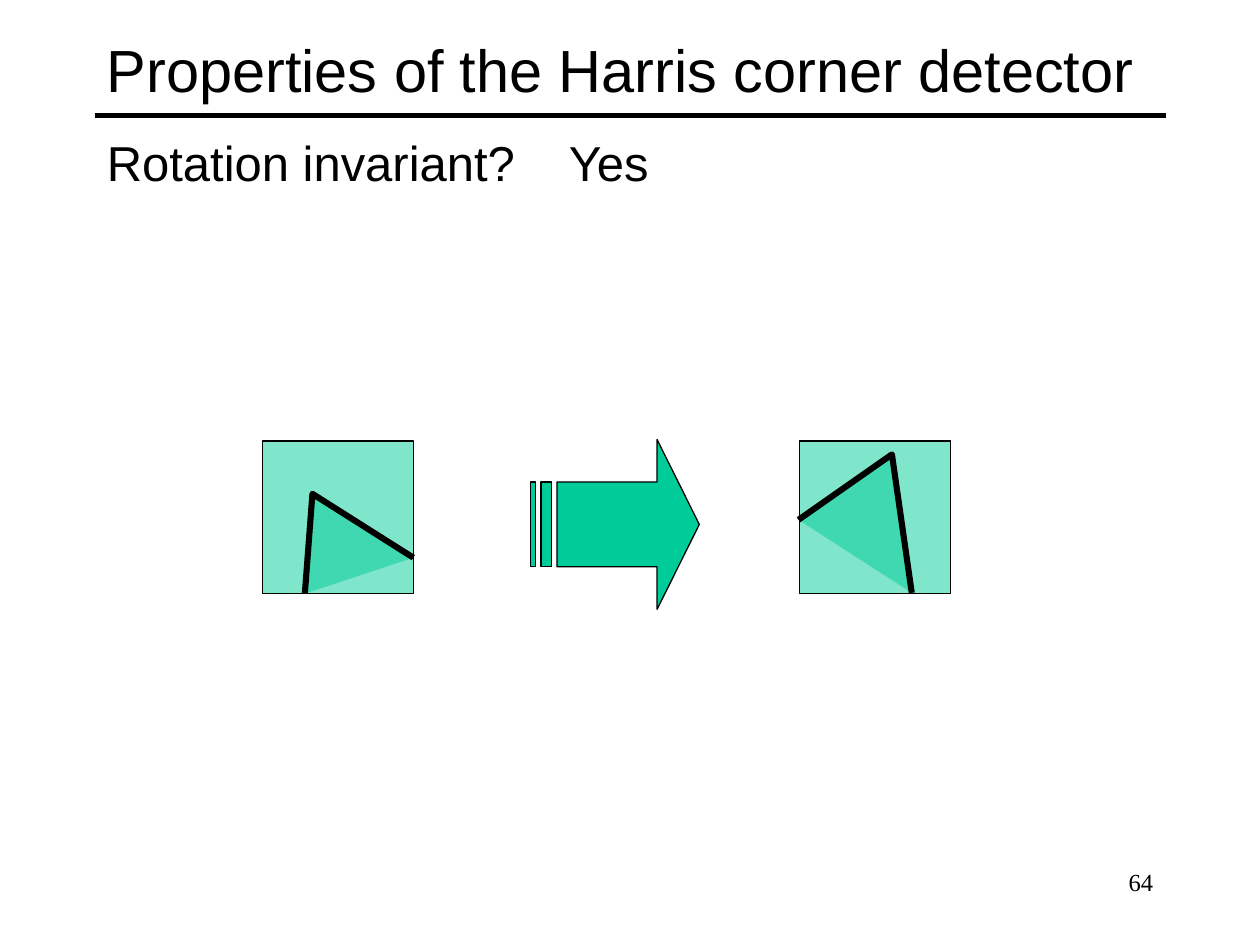
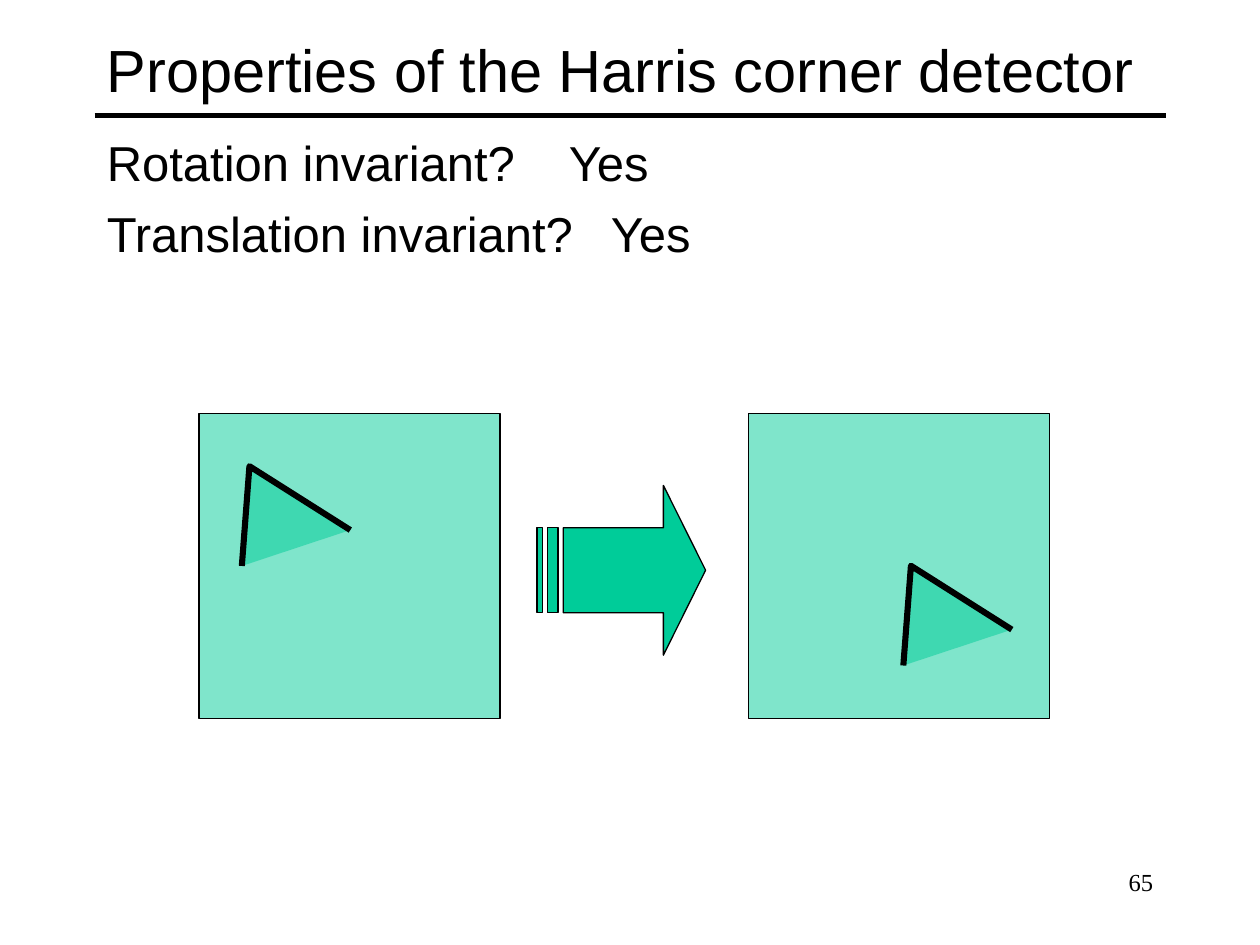
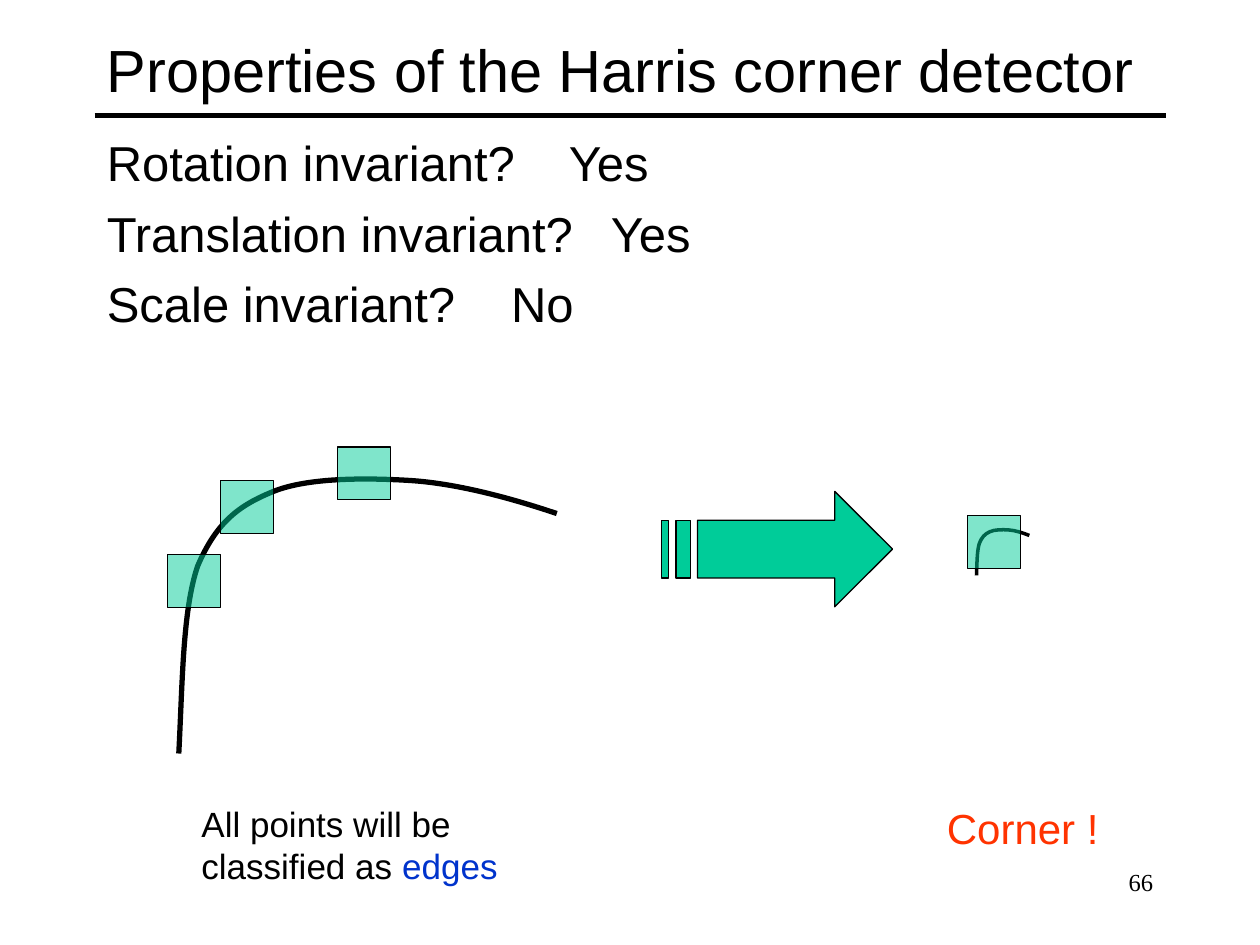
from lxml.etree import SubElement
from pptx import Presentation
from pptx.dml.color import RGBColor
from pptx.enum.shapes import MSO_CONNECTOR, MSO_SHAPE
from pptx.enum.text import MSO_ANCHOR, PP_ALIGN
from pptx.oxml.ns import qn
from pptx.util import Pt

BLACK, GREEN, BLUE, RED = "000000", "00CC99", "0033CC", "FF3300"
TITLE = "Properties of the Harris corner detector"
FIRST_NUMBER = 64

# Questions, each with its answer and the answer's left and top
QUESTIONS = [
    ("Rotation invariant?", "Yes", 318, 72),
    ("Translation invariant?", "Yes", 342, 113),
    ("Scale invariant?", "No", 285, 152.6),
]

# Drawing parts of each slide, back to front: (kind, left, top, width, height, extra)
DRAWINGS = [
    [
        ("window", 150, 252, 86.4, 87.1),
        ("corner", 174.2, 282.2, 62, 57),
        ("window", 457, 252, 86.4, 87.1),
        ("corner", 468, 272.2, 73.4, 65, 50.5),
        ("arrow", 303.2, 251.2, 96.4, 97),
    ],
    [
        ("window", 113.8, 236.2, 172, 174.2),
        ("corner", 138.2, 266.4, 62, 57),
        ("arrow", 306.8, 277.4, 96.4, 97),
        ("window", 427.7, 236.2, 172, 174.2),
        ("corner", 516.2, 323.3, 62, 57),
    ],
    [
        ("curve", 102.2, 273, 216, 157.6, 3),
        ("window", 95.8, 316.8, 30.2, 30.2),
        ("window", 126, 274.6, 30.2, 30.2),
        ("window", 193, 255.4, 30.2, 30.2),
        ("curve", 558, 302.6, 30.2, 26.2, 2),
        ("window", 553, 294.6, 30.2, 30.2),
        ("arrow", 378, 280.8, 132, 66),
    ],
]

# Captions of the last slide: box, runs, size
CAPTIONS = [
    ((108, 455, 204, 55), [("All points will be classified as ", BLACK), ("edges", BLUE)], 20),
    ((534, 455, 108, 36), [("Corner !", RED)], 24),
]

# Outlines as fractions of their box
CORNER = [(0, 1), (0.07, 0), (1, 0.64)]
CURVE = [
    (0, 1), (0.01, 0.74), (0.01, 0.48), (0.05, 0.32), (0.1, 0.16), (0.16, 0.1), (0.25, 0.05),
    (0.34, 0), (0.49, 0), (0.61, 0.01), (0.73, 0.02), (0.87, 0.07), (1, 0.13),
]
ARROW_HEAD = [(3 / 4, 0), (3 / 4, 1 / 4), (5 / 32, 1 / 4), (5 / 32, 3 / 4),
              (3 / 4, 3 / 4), (3 / 4, 1), (1, 1 / 2)]
ARROW_STRIPES = [
    [(left, 1 / 4), (left, 3 / 4), (right, 3 / 4), (right, 1 / 4)]
    for left, right in [(1 / 16, 1 / 8), (0, 1 / 32)]
]


def color(value):
    return RGBColor.from_string(value)


def set_values(target, values):
    for name, value in values.items():
        setattr(target, name, value)


def add_text(slide, box, paragraphs, size, font="Arial", anchor=MSO_ANCHOR.TOP, **paragraph_values):
    """Each paragraph is a list of (text, colour) runs."""
    frame = slide.shapes.add_textbox(*map(Pt, box)).text_frame
    set_values(frame, {"word_wrap": True, "vertical_anchor": anchor})
    for index, runs in enumerate(paragraphs):
        paragraph = frame.add_paragraph() if index else frame.paragraphs[0]
        set_values(paragraph, paragraph_values)
        if index:
            paragraph.space_before = Pt(6.9)
        for text, text_color in runs:
            run = paragraph.add_run()
            run.text = text
            set_values(run.font, {"name": font, "size": Pt(size)})
            run.font.color.rgb = color(text_color)


def paint(shape, fill=None, opacity=100, width=0.75):
    shape.shadow.inherit = False
    if fill:
        shape.fill.solid()
        shape.fill.fore_color.rgb = color(fill)
        if opacity < 100:
            fill_color = shape.fill._xPr.find(qn("a:solidFill"))[0]
            SubElement(fill_color, qn("a:alpha"), val=str(opacity * 1000))
    else:
        shape.fill.background()
    shape.line.color.rgb = color(BLACK)
    shape.line.width = Pt(width)
    SubElement(shape.line._get_or_add_ln(), qn("a:round"))


def add_outline(slide, box, contours, close):
    left, top, width, height = box
    builder = None
    for contour in contours:
        points = [(Pt(left + x * width), Pt(top + y * height)) for x, y in contour]
        if builder:
            builder.move_to(*points[0])
        else:
            builder = slide.shapes.build_freeform(*points[0], scale=1.0)
        builder.add_line_segments(points[1:], close=close)
    return builder.convert_to_shape()


def draw_window(slide, box):
    paint(slide.shapes.add_shape(MSO_SHAPE.RECTANGLE, *map(Pt, box)), GREEN, 50)


def draw_corner(slide, box, rotation=0):
    corner = add_outline(slide, box, [CORNER], close=False)
    corner.rotation = rotation
    paint(corner, GREEN, 50, 3.5)


def draw_arrow(slide, box):
    paint(add_outline(slide, box, [ARROW_HEAD, *ARROW_STRIPES], close=True), GREEN)


def draw_curve(slide, box, width):
    curve = add_outline(slide, box, [CURVE], close=False)
    # Turn every three straight segments into one Bézier segment
    segments = list(curve._element.iter(qn("a:lnTo")))
    outline = segments[0].getparent()
    for start in range(0, len(segments), 3):
        bezier = SubElement(outline, qn("a:cubicBezTo"))
        for segment in segments[start:start + 3]:
            bezier.append(segment[0])
            outline.remove(segment)
    paint(curve, width=width)


DRAW = {"window": draw_window, "corner": draw_corner, "arrow": draw_arrow, "curve": draw_curve}


def add_base(presentation, number):
    """Slide with the shared rule, title and number."""
    slide = presentation.slides.add_slide(presentation.slide_layouts[6])
    rule = slide.shapes.add_connector(MSO_CONNECTOR.STRAIGHT, Pt(54), Pt(66), Pt(666), Pt(66))
    rule.line.color.rgb = color(BLACK)
    rule.line.width = Pt(3)
    SubElement(rule._element.spPr, qn("a:effectLst"))
    add_text(slide, (54, 6, 612, 66), [[(TITLE, BLACK)]], 34, anchor=MSO_ANCHOR.MIDDLE)
    add_text(slide, (516, 492, 150, 36), [[(str(number), BLACK)]], 14,
             font="Times New Roman", alignment=PP_ALIGN.RIGHT)
    return slide


def main():
    presentation = Presentation()
    set_values(presentation, {"slide_width": Pt(720), "slide_height": Pt(540)})
    for index, drawing in enumerate(DRAWINGS):
        slide = add_base(presentation, FIRST_NUMBER + index)
        # Questions so far and their answers
        asked = QUESTIONS[:index + 1]
        add_text(slide, (54, 72, 612, 180), [[(question[0], BLACK)] for question in asked], 28)
        for _, answer, left, top in asked:
            add_text(slide, (left, top, 150, 41), [[(answer, BLACK)]], 28)
        # Drawing
        for kind, left, top, width, height, *extra in drawing:
            DRAW[kind](slide, (left, top, width, height), *extra)
    # Captions under the last drawing
    for box, runs, size in CAPTIONS:
        add_text(slide, box, [runs], size)
    presentation.save("out.pptx")


if __name__ == "__main__":
    main()
